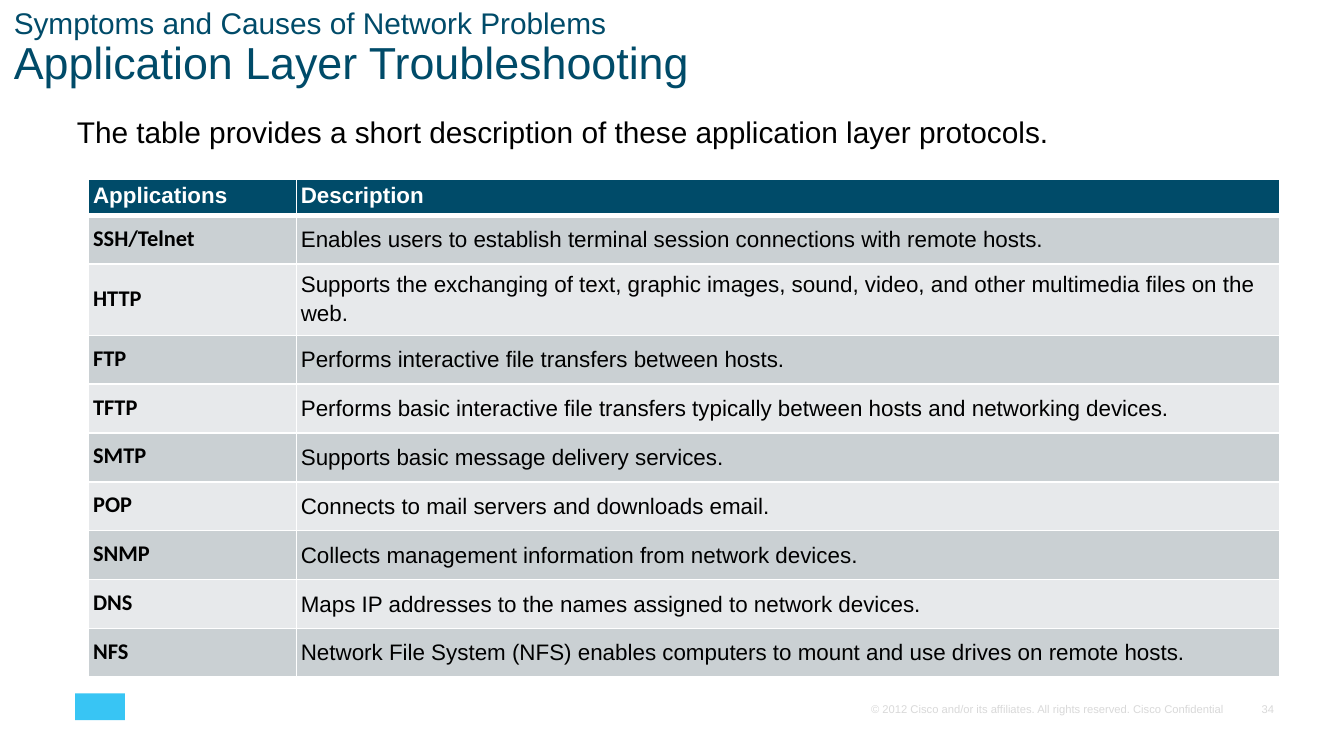
"""Build a slide that lists application layer protocols in a table."""
from lxml import etree
from pptx import Presentation
from pptx.dml.color import RGBColor
from pptx.enum import shapes, text
from pptx.oxml import ns
from pptx.util import Pt

HUES = {"navy": "004B69", "dark": "CAD0D3", "light": "E7E9EB", "white": "FFFFFF",
        "black": "000000", "gray": "D9D9D9", "sky": "38C5F4"}
ROWS = [
    ("Applications", "Description"),
    ("SSH/Telnet", "Enables users to establish terminal session connections with remote hosts."),
    ("HTTP", "Supports the exchanging of text, graphic images, sound, video, "
             "and other multimedia files on the\nweb."),
    ("FTP", "Performs interactive file transfers between hosts."),
    ("TFTP", "Performs basic interactive file transfers typically between hosts "
             "and networking devices."),
    ("SMTP", "Supports basic message delivery services."),
    ("POP", "Connects to mail servers and downloads email."),
    ("SNMP", "Collects management information from network devices."),
    ("DNS", "Maps IP addresses to the names assigned to network devices."),
    ("NFS", "Network File System (NFS) enables computers to mount and use drives on remote hosts."),
]


def style(par, size, hue, face="Arial", bold=False):
    """Set the font of a paragraph."""
    par.font.size, par.font.name, par.font.bold = Pt(size), face, bold
    par.font.color.rgb = RGBColor.from_string(HUES[hue])


def label(left, top, width, height, lines, hue):
    """Add a text box with one paragraph for each (words, size, spacing)."""
    box = slide.shapes.add_textbox(Pt(left), Pt(top), Pt(width), Pt(height))
    frame = box.text_frame
    frame.word_wrap = True
    frame.margin_left = frame.margin_top = Pt(0.9)
    frame.margin_right = frame.margin_bottom = 0
    frame.text = "\n".join(line[0] for line in lines)
    for par, (words, size, gap) in zip(frame.paragraphs, lines):
        style(par, size, hue)
        if gap:
            par.line_spacing = Pt(gap)


deck = Presentation()
deck.slide_width, deck.slide_height = Pt(720), Pt(405)
slide = deck.slides.add_slide(deck.slide_layouts[6])

mark = slide.shapes.add_shape(shapes.MSO_SHAPE.RECTANGLE, Pt(40.3), Pt(371.5), Pt(26.6), Pt(14.4))
mark.shadow.inherit = False
mark.fill.solid()
mark.fill.fore_color.rgb = RGBColor.from_string(HUES["sky"])
mark.line.fill.background()

label(6.5, 4.3, 623.5, 43.9, [("Symptoms and Causes of Network Problems", 16, 16.2),
                              ("Application Layer Troubleshooting", 24, 25.8)], "navy")
label(40.3, 59.8, 540, 20.9,
      [("The table provides a short description of these application layer protocols.", 16, None)],
      "black")
label(465.8, 375.1, 200, 8.6,
      [("© 2012 Cisco and/or its affiliates. All rights reserved. Cisco Confidential", 6, None)],
      "gray")
label(675, 375.1, 14, 8.6, [("34", 6, None)], "gray")

table = slide.shapes.add_table(len(ROWS), 2, Pt(47.5), Pt(96), Pt(638.2), Pt(267)).table
table.columns[0].width, table.columns[1].width = Pt(111.3), Pt(526.9)

for r, row in enumerate(ROWS):
    tall = "\n" in row[1]
    table.rows[r].height = Pt(19.4 if r == 0 else 38.1 if tall else 26.17)
    for c, words in enumerate(row):
        cell = table.cell(r, c)
        cell.margin_left, cell.margin_right, cell.margin_bottom = Pt(2.4), 0, 0
        cell.vertical_anchor = text.MSO_ANCHOR.TOP
        if r == 0:
            top, hue = 1.9, "navy"
        else:
            top = (11.2, 4)[c] if tall else (5.2, 6.5)[c]
            hue = "dark" if r % 2 else "light"
        cell.margin_top = Pt(top)

        cell.text = words
        for n, par in enumerate(cell.text_frame.paragraphs):
            if n:
                par.space_before = Pt(2.2)
            if r == 0:
                style(par, 12, "white", bold=True)
            elif c == 0:
                style(par, 12, "black", "Calibri", True)
            else:
                style(par, 12, "black")

        props = cell._tc.get_or_add_tcPr()
        for side in "LRTB":
            thick = 3 if (r, side) in ((0, "B"), (1, "T")) else 1
            edge = etree.SubElement(props, ns.qn("a:ln" + side), w=str(Pt(thick)))
            paint = etree.SubElement(edge, ns.qn("a:solidFill"))
            etree.SubElement(paint, ns.qn("a:srgbClr"), val=HUES["white"])
        cell.fill.solid()
        cell.fill.fore_color.rgb = RGBColor.from_string(HUES[hue])

deck.save("out.pptx")
